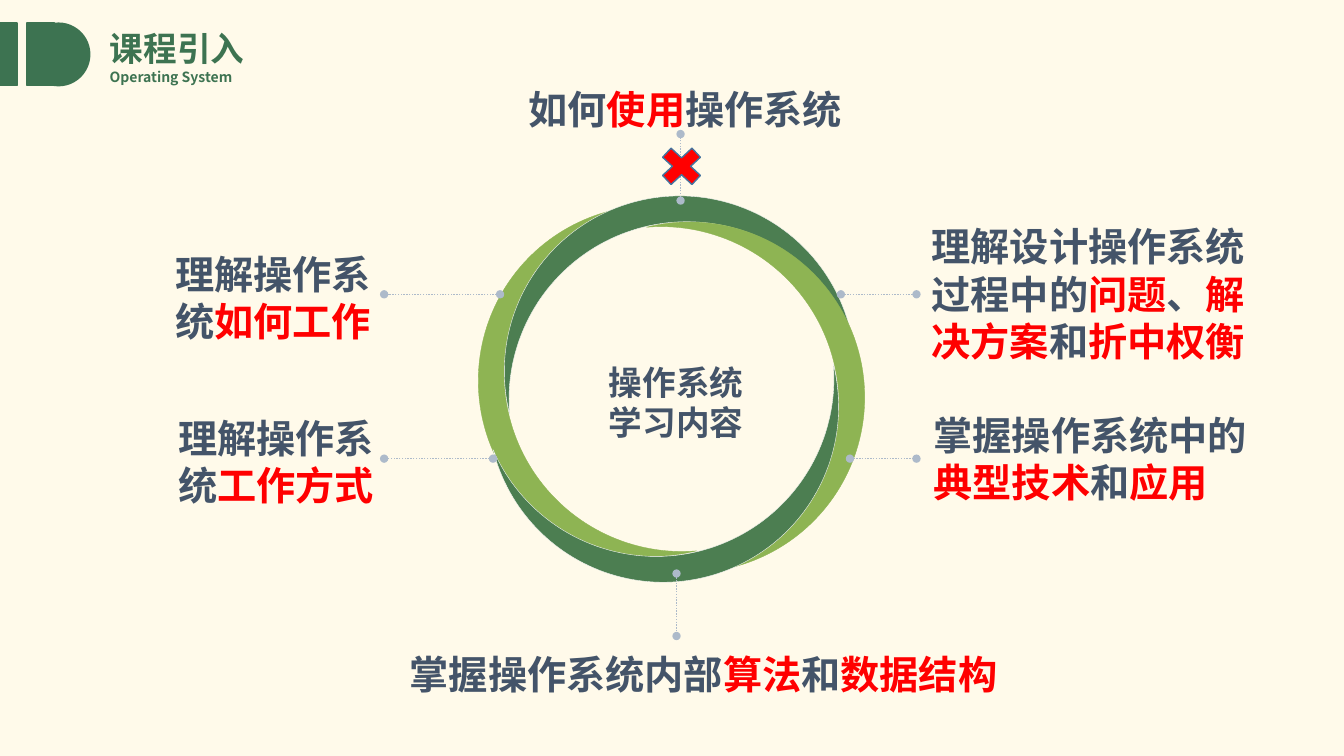
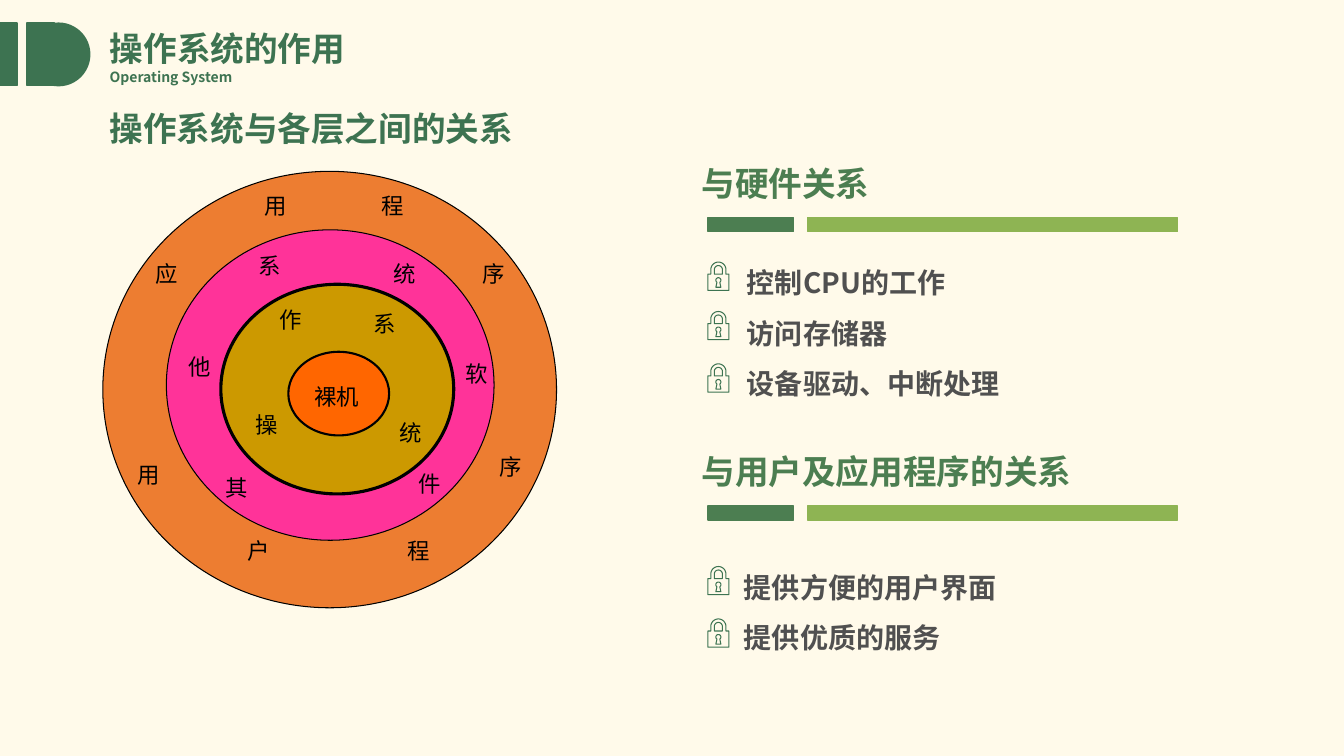
from dataclasses import dataclass
from math import cos, pi, sin

from lxml.etree import SubElement
from pptx import Presentation
from pptx.dml.color import RGBColor
from pptx.enum.dml import MSO_LINE
from pptx.enum.shapes import MSO_CONNECTOR, MSO_SHAPE
from pptx.enum.text import MSO_ANCHOR, MSO_AUTO_SIZE, PP_ALIGN
from pptx.oxml.ns import qn
from pptx.shapes.autoshape import Shape
from pptx.slide import Slide
from pptx.text.text import TextFrame
from pptx.util import Inches, Pt

# Shared look
CREAM, BRAND, DARK_GREEN, LIGHT_GREEN = "FFFAEA", "3D7351", "4C7E51", "8EB453"
SLATE, RED, GREY, LINK, BLACK = "445469", "FF0000", "505050", "ADBACA", "000000"
HAN_FONT = "Noto Sans CJK SC"
TITLE_ONLY = 5


@dataclass(frozen=True)
class Box:
    left: float
    top: float
    width: float
    height: float


@dataclass(frozen=True)
class Style:
    size: float
    color: str
    font: str = HAN_FONT
    bold: bool = True
    align: PP_ALIGN = PP_ALIGN.LEFT
    spacing: float = 1.0
    inset: bool = True
    wrap: bool = True


@dataclass(frozen=True)
class Callout:
    box: Box
    text: str  # parts between asterisks are red
    align: PP_ALIGN
    start: tuple[float, float]
    end: tuple[float, float]


@dataclass(frozen=True)
class Layer:
    box: Box
    fill: str
    line_width: float
    label_size: tuple[float, float]
    labels: tuple[tuple[str, float, float], ...]


@dataclass(frozen=True)
class Section:
    heading: str
    heading_box: Box
    bar_top: float
    list_box: Box
    items: tuple[str, ...]
    lock_tops: tuple[float, ...]


HEADING = Style(24, BRAND, wrap=False)
SUBTITLE = Style(10, BRAND, wrap=False)
SECTION_HEADING = Style(24, DARK_GREEN)
ITEM = Style(20, GREY, spacing=1.5)
LAYER_LABEL = Style(16, BLACK, "Times New Roman", bold=False)
CENTER_LABEL = Style(24, SLATE, "Arial", align=PP_ALIGN.CENTER)

CALLOUTS = (
    Callout(Box(4.78, 0.85, 3.57, 0.47), "如何*使用*操作系统",
            PP_ALIGN.RIGHT, (6.75, 1.99), (6.75, 1.33)),
    Callout(Box(1.67, 2.48, 2.01, 0.94), "理解操作系统*如何工作*",
            PP_ALIGN.RIGHT, (4.96, 2.92), (3.81, 2.92)),
    Callout(Box(1.7, 4.11, 2.01, 0.94), "理解操作系统*工作方式*",
            PP_ALIGN.RIGHT, (4.89, 4.55), (3.81, 4.55)),
    Callout(Box(3.61, 6.45, 6.28, 0.47), "掌握操作系统内部*算法*和*数据结构*",
            PP_ALIGN.RIGHT, (6.71, 5.69), (6.71, 6.31)),
    Callout(Box(9.24, 2.21, 3.19, 1.41), "理解设计操作系统过程中的*问题*、*解决方案*和*折中权衡*",
            PP_ALIGN.LEFT, (8.34, 2.92), (9.09, 2.92)),
    Callout(Box(9.26, 4.08, 3.19, 0.94), "掌握操作系统中的*典型技术*和*应用*",
            PP_ALIGN.LEFT, (8.43, 4.55), (9.09, 4.55)),
)

LAYERS = (
    Layer(Box(1.02, 1.7, 4.5, 4.33), "ED7D31", 0.75, (0.58, 0.32), (
        ("用", 1.27, 4.53), ("户", 2.36, 5.28), ("应", 1.44, 2.53), ("用", 2.52, 1.86),
        ("程", 3.69, 1.86), ("序", 4.69, 2.53), ("序", 4.86, 4.45), ("程", 3.94, 5.28))),
    Layer(Box(1.65, 2.28, 3.25, 3.08), "FF3399", 0.75, (0.47, 0.42), (
        ("其", 2.14, 4.65), ("他", 1.77, 3.45), ("系", 2.47, 2.45),
        ("统", 3.8, 2.53), ("软", 4.52, 3.52), ("件", 4.05, 4.61))),
    Layer(Box(2.19, 2.82, 2.31, 2.08), "CC9900", 2.25, (0.43, 0.29), (
        ("操", 2.44, 4.03), ("作", 2.67, 2.99), ("系", 3.61, 3.03), ("统", 3.86, 4.11))),
    Layer(Box(2.86, 3.49, 1, 0.83), "FF6600", 1.5, (0.8, 0.44), (("裸机", 3.02, 3.75),)),
)

SECTIONS = (
    Section("与硬件关系", Box(6.86, 1.57, 2.1, 0.51), 2.16, Box(7.31, 2.42, 2.99, 1.56),
            ("控制CPU的工作", "访问存储器", "设备驱动、中断处理"), (2.6, 3.09, 3.61)),
    Section("与用户及应用程序的关系", Box(6.86, 4.42, 4.51, 0.5), 5.02,
            Box(7.28, 5.44, 2.99, 1.11), ("提供方便的用户界面", "提供优质的服务"), (5.62, 6.14)),
)


def rgb(color: str) -> RGBColor:
    return RGBColor.from_string(color)


def lengths(box: Box) -> tuple[int, ...]:
    return tuple(Inches(value) for value in (box.left, box.top, box.width, box.height))


def write(frame: TextFrame, lines: tuple[str, ...], style: Style) -> None:
    """Fill a text frame; text between asterisks turns red."""
    frame.word_wrap = style.wrap
    frame.auto_size = MSO_AUTO_SIZE.NONE
    frame.vertical_anchor = MSO_ANCHOR.TOP
    if not style.inset:
        frame.margin_left = frame.margin_right = frame.margin_top = frame.margin_bottom = 0
    for index, line in enumerate(lines):
        paragraph = frame.add_paragraph() if index else frame.paragraphs[0]
        paragraph.alignment = style.align
        paragraph.line_spacing = style.spacing
        for part, text in enumerate(line.split("*")):
            if not text:
                continue
            run = paragraph.add_run()
            run.text = text
            run.font.size = Pt(style.size)
            run.font.bold = style.bold
            run.font.name = style.font
            run.font.color.rgb = rgb(RED if part % 2 else style.color)
            SubElement(run.font._element, qn("a:ea"), typeface=HAN_FONT)


def add_text(slide: Slide, box: Box, lines: tuple[str, ...], style: Style) -> None:
    write(slide.shapes.add_textbox(*lengths(box)).text_frame, lines, style)


def add_shape(slide: Slide, kind: MSO_SHAPE, box: Box, fill: str,
              line: str | None = None, line_width: float = 1) -> Shape:
    shape = slide.shapes.add_shape(kind, *lengths(box))
    shape.shadow.inherit = False
    shape.fill.solid()
    shape.fill.fore_color.rgb = rgb(fill)
    shape.line.color.rgb = rgb(line or fill)
    shape.line.width = Pt(line_width)
    return shape


def add_link(slide: Slide, start: tuple[float, float], end: tuple[float, float]) -> None:
    """Dotted line with a round dot at both ends."""
    points = (Inches(value) for value in (*start, *end))
    connector = slide.shapes.add_connector(MSO_CONNECTOR.STRAIGHT, *points)
    connector.line.color.rgb = rgb(LINK)
    connector.line.width = Pt(1)
    connector.line.dash_style = MSO_LINE.ROUND_DOT
    outline = connector.line._get_or_add_ln()
    for tag in ("a:headEnd", "a:tailEnd"):
        SubElement(outline, qn(tag), type="oval")
    SubElement(connector._element.spPr, qn("a:effectLst"))


def arc(center_x: float, center_y: float, radius: float,
        first: float, last: float) -> list[tuple[float, float]]:
    """Points along an arc, angles in degrees clockwise from the right."""
    steps = 16
    angles = [(first + (last - first) * step / steps) * pi / 180 for step in range(steps + 1)]
    return [(center_x + radius * cos(angle), center_y + radius * sin(angle))
            for angle in angles]


def add_lock(slide: Slide, left: float, top: float) -> None:
    width, height, shoulder, middle = 0.21, 0.28, 0.12, 0.105
    outer, inner = 0.075, 0.04
    contours = (
        # Body with shackle
        [(width, shoulder), (width, height), (0, height), (0, shoulder),
         (middle - outer, shoulder), *arc(middle, outer, outer, 180, 360),
         (middle + outer, shoulder)],
        # Opening of the shackle
        [(middle - inner, shoulder), *arc(middle, outer, inner, 180, 360),
         (middle + inner, shoulder)],
        # Keyhole
        [(middle - 0.025, 0.25), *arc(middle, 0.18, 0.025, 125, 415), (middle + 0.025, 0.25)],
    )
    builder = None
    for contour in contours:
        points = [(Inches(left + x), Inches(top + y)) for x, y in contour]
        if builder is None:
            builder = slide.shapes.build_freeform(*points[0], scale=1.0)
        else:
            builder.move_to(*points[0])
        builder.add_line_segments(points[1:], close=True)
    lock = builder.convert_to_shape()
    lock.shadow.inherit = False
    lock.fill.background()
    lock.line.color.rgb = rgb(BRAND)
    lock.line.width = Pt(0.75)


def new_slide(presentation: Presentation, title: str) -> Slide:
    """Slide with the green tab, title and subtitle."""
    slide = presentation.slides.add_slide(presentation.slide_layouts[TITLE_ONLY])
    add_shape(slide, MSO_SHAPE.RECTANGLE, Box(0, 0.23, 0.17, 0.62), BRAND)
    add_shape(slide, MSO_SHAPE.RECTANGLE, Box(0.27, 0.23, 0.27, 0.62), BRAND)
    add_shape(slide, MSO_SHAPE.OVAL, Box(0.27, 0.23, 0.62, 0.62), BRAND)
    placeholder = slide.shapes.title
    placeholder.left, placeholder.top, placeholder.width, placeholder.height = lengths(
        Box(0.99, 0.23, 2.56, 0.5))
    write(placeholder.text_frame, (title,), HEADING)
    add_text(slide, Box(0.99, 0.63, 1.47, 0.27), ("Operating System",), SUBTITLE)
    return slide


def add_ring(slide: Slide) -> None:
    """Four crescents, each a quarter turn after the one before."""
    center_x, center_y, width, height = 6.66, 3.86, 1.74, 3.48
    offset_x, offset_y = -1.02, 0.13
    for turn in range(4):
        fill, line = (DARK_GREEN, "F8F8F8") if turn % 2 else (LIGHT_GREEN, LIGHT_GREEN)
        box = Box(center_x + offset_x - width / 2, center_y + offset_y - height / 2,
                  width, height)
        moon = add_shape(slide, MSO_SHAPE.MOON, box, fill, line, 0.25)
        moon.adjustments[0] = 0.152
        moon.rotation = (345.9 + 90 * turn) % 360
        offset_x, offset_y = -offset_y, offset_x


def build_introduction(presentation: Presentation) -> None:
    slide = new_slide(presentation, "课程引入")
    add_ring(slide)
    add_text(slide, Box(5.55, 3.54, 2.31, 0.91), ("操作系统", "学习内容"), CENTER_LABEL)
    for callout in CALLOUTS:
        add_link(slide, callout.start, callout.end)
        style = Style(28, SLATE, "Arial", align=callout.align, inset=False)
        add_text(slide, callout.box, (callout.text,), style)
    # Cross on the excluded topic
    add_shape(slide, MSO_SHAPE.MATH_MULTIPLY, Box(6.48, 1.39, 0.56, 0.52), RED, "43739E")


def build_role(presentation: Presentation) -> None:
    slide = new_slide(presentation, "操作系统的作用")
    add_text(slide, Box(0.99, 1.02, 4.24, 0.5), ("操作系统与各层之间的关系",), HEADING)
    # Nested layers, outermost first
    for layer in LAYERS:
        add_shape(slide, MSO_SHAPE.OVAL, layer.box, layer.fill, BLACK, layer.line_width)
        for text, left, top in layer.labels:
            add_text(slide, Box(left, top, *layer.label_size), (text,), LAYER_LABEL)
    # Headed lists with lock icons
    for section in SECTIONS:
        add_text(slide, section.heading_box, (section.heading,), SECTION_HEADING)
        for left, width, fill in ((7.02, 0.85, DARK_GREEN), (8.01, 3.67, LIGHT_GREEN)):
            add_shape(slide, MSO_SHAPE.RECTANGLE, Box(left, section.bar_top, width, 0.14), fill)
        add_text(slide, section.list_box, section.items, ITEM)
        for top in section.lock_tops:
            add_lock(slide, 7.02, top)


def main() -> None:
    presentation = Presentation()
    presentation.slide_width, presentation.slide_height = Inches(13.33), Inches(7.5)
    background = presentation.slide_master.background.fill
    background.solid()
    background.fore_color.rgb = rgb(CREAM)
    build_introduction(presentation)
    build_role(presentation)
    presentation.save("out.pptx")


if __name__ == "__main__":
    main()
